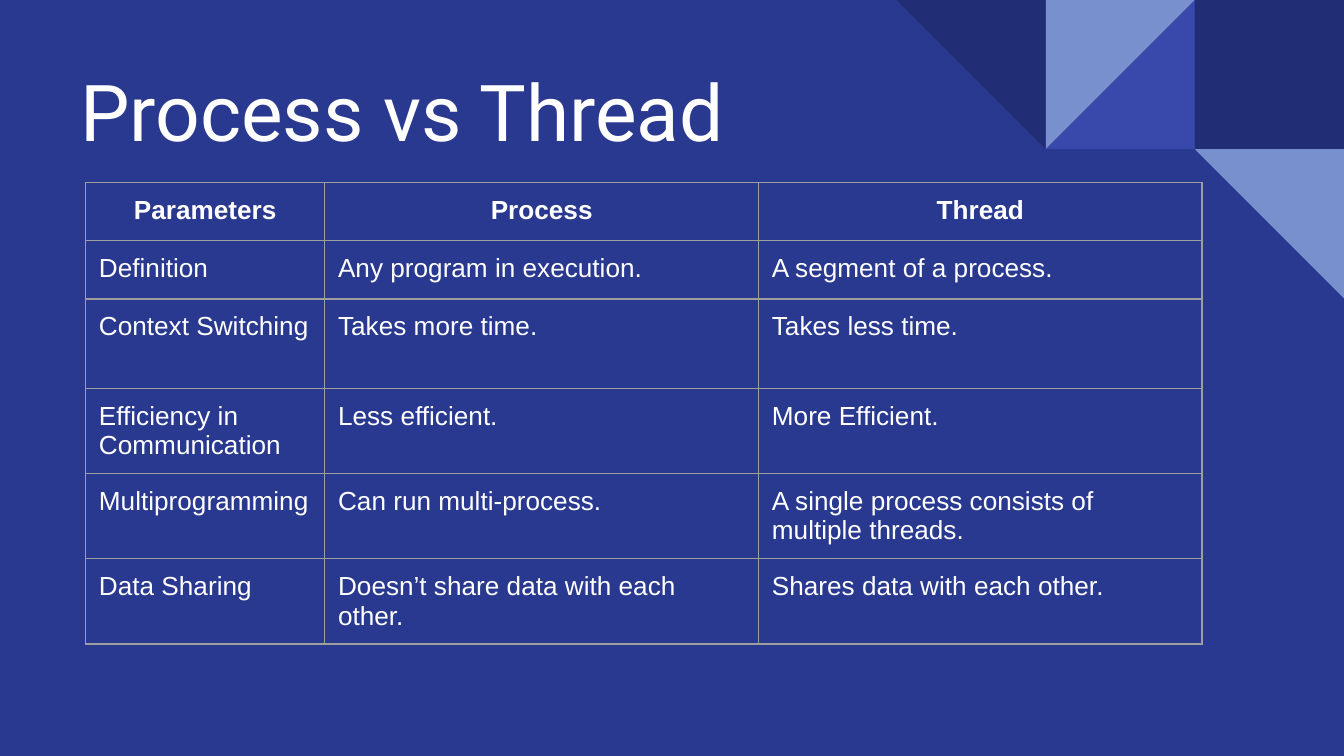
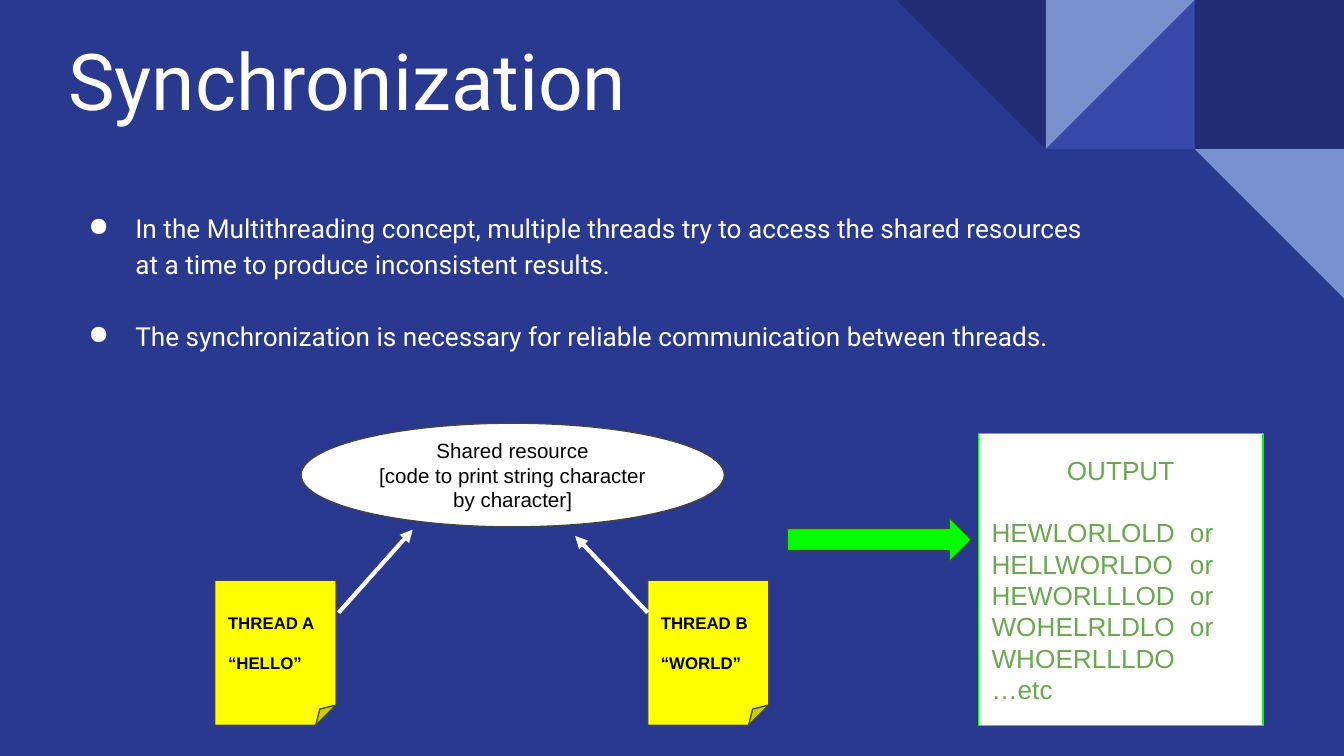
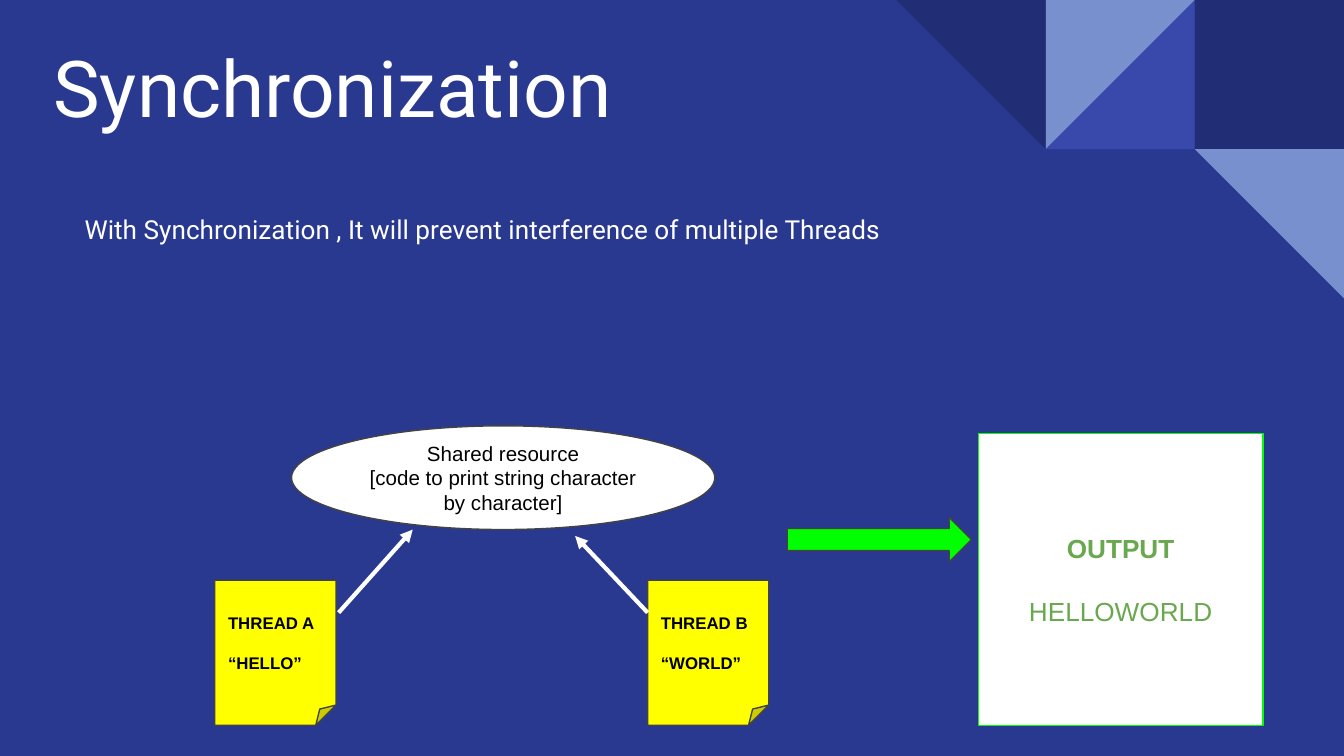
from lxml import etree
from pptx import Presentation
from pptx import util as u
from pptx.dml.color import RGBColor
from pptx.enum import shapes, text
from pptx.oxml import ns

WHITE, BLACK, GREY, LIME, LEAF = "FFFFFF", "000000", "434343", "00FF00", "6AA84F"
BLUE, NAVY, INDIGO, SKY = "2A3990", "212D74", "3949AB", "7890CD"
YELLOW, BORDER = "FFFF00", "9E9E9E"
TILE = 2.82
SLIDE_WIDTH = 25.4
KIND = shapes.MSO_SHAPE
CENTER = {"alignment": text.PP_ALIGN.CENTER}
LEFT = {"alignment": text.PP_ALIGN.LEFT}
MARGINS = {f"margin_{side}": u.Cm(0.25) for side in ("left", "right", "top", "bottom")}
MIDDLE = {"vertical_anchor": text.MSO_ANCHOR.MIDDLE}
TITLE_FONT = {"name": "Roboto", "size": u.Pt(42)}
BODY_FONT = {"name": "Roboto", "size": u.Pt(14)}
CELL_FONT = {"name": "Arial", "size": u.Pt(14)}
HEAD_FONT = {**CELL_FONT, "bold": True}
RESOURCE_FONT = {"name": "Arial", "size": u.Pt(11)}
NOTE_FONT = {"name": "Arial", "size": u.Pt(9), "bold": True}
COMPARISON = [
    ("Parameters", "Process", "Thread"),
    ("Definition", "Any program in execution.", "A segment of a process."),
    ("Context Switching", "Takes more time.", "Takes less time."),
    ("Efficiency in Communication", "Less efficient.", "More Efficient."),
    ("Multiprogramming", "Can run multi-process.",
     "A single process consists of multiple threads."),
    ("Data Sharing", "Doesn’t share data with each other.",
     "Shares data with each other."),
]


def rgb(code):
    """Turn a hex string into a colour."""
    return RGBColor.from_string(code)


def cm(*lengths):
    """Turn centimetre numbers into lengths."""
    return [u.Cm(length) for length in lengths]


def apply(target, values):
    """Set every attribute in a dict of format values."""
    for name, value in values.items():
        setattr(target, name, value)


def add_xml(parent, tag, **attributes):
    """Append a DrawingML child and return it."""
    child = etree.SubElement(parent, ns.qn(f"a:{tag}"))
    for name, value in attributes.items():
        child.set(name, str(value))
    return child


def add_color(parent, code):
    """Append an RGB colour element."""
    add_xml(parent, "srgbClr", val=code)


def write(frame, lines, font, color):
    """Write (text, paragraph format) lines in one font."""
    for index, (words, layout) in enumerate(lines):
        para = frame.add_paragraph() if index else frame.paragraphs[0]
        apply(para, layout)
        span = para.add_run()
        span.text = words
        apply(span.font, font)
        span.font.color.rgb = rgb(color)


def add_box(page, kind, place, fill, line=None, lines=(), font=None, color=BLACK):
    """Add a filled preset shape with optional outline and text."""
    box = page.shapes.add_shape(kind, *cm(*place))
    box.shadow.inherit = False
    box.fill.solid()
    box.fill.fore_color.rgb = rgb(fill)
    if line:
        box.line.color.rgb = rgb(line)
        box.line.width = u.Pt(0.75)
    else:
        box.line.fill.background()
    apply(box.text_frame, {**MARGINS, **MIDDLE, "word_wrap": True})
    write(box.text_frame, lines, font, color)
    return box


def add_body(page, place, lines):
    """Add a body text box that grows with its text."""
    box = page.shapes.add_textbox(*cm(*place))
    apply(box.text_frame, {**MARGINS, "word_wrap": True,
                           "auto_size": text.MSO_AUTO_SIZE.SHAPE_TO_FIT_TEXT})
    write(box.text_frame, lines, BODY_FONT, WHITE)
    return box


def add_bullets(box):
    """Give each paragraph of a box a hanging round bullet."""
    for para in box.text_frame.paragraphs:
        props = para._p.get_or_add_pPr()
        props.set("marL", str(u.Cm(1.27)))
        props.set("indent", str(u.Cm(-0.89)))
        add_color(add_xml(props, "buClr"), WHITE)
        add_xml(props, "buChar", char="●")


def add_pointer(page, start, end):
    """Add a white line with an arrowhead at its end."""
    line = page.shapes.add_connector(shapes.MSO_CONNECTOR.STRAIGHT, *cm(*start, *end))
    line.line.color.rgb = rgb(WHITE)
    line.line.width = u.Pt(2.25)
    add_xml(line.line._get_or_add_ln(), "tailEnd", type="triangle")
    add_xml(line._element.spPr, "effectLst")


def add_table(page, rows, place, widths, heights):
    """Add an unfilled table with thin borders and a bold header row."""
    frame = page.shapes.add_table(len(rows), len(widths),
                                  *cm(*place, sum(widths), sum(heights)))
    table = frame.table
    apply(table, {"first_row": False, "horz_banding": False})
    for column, width in zip(table.columns, widths):
        column.width = u.Cm(width)
    for row, height in zip(table.rows, heights):
        row.height = u.Cm(height)
    for r, row in enumerate(rows):
        font, layout = (CELL_FONT, LEFT) if r else (HEAD_FONT, CENTER)
        for c, words in enumerate(row):
            cell = table.cell(r, c)
            apply(cell, MARGINS)
            write(cell.text_frame, [(words, layout)], font, WHITE)
            props = cell._tc.get_or_add_tcPr()
            for side in "LRTB":
                border = add_xml(props, f"ln{side}", w=u.Pt(0.75))
                add_color(add_xml(border, "solidFill"), BORDER)
            cell.fill.background()


def decorate(layout, page):
    """Give the layout its background and corner tiles, drawn through a page."""
    layout.background.fill.solid()
    layout.background.fill.fore_color.rgb = rgb(BLUE)
    tiles = [
        (KIND.RECTANGLE, 1, 0, 0, NAVY),
        (KIND.RIGHT_TRIANGLE, 2, 0, 270, INDIGO),
        (KIND.RIGHT_TRIANGLE, 2, 0, 90, SKY),
        (KIND.RIGHT_TRIANGLE, 3, 0, 180, NAVY),
        (KIND.RIGHT_TRIANGLE, 1, 1, 180, SKY),
    ]
    for index, (kind, from_right, row, turn, color) in enumerate(tiles):
        place = (SLIDE_WIDTH - from_right * TILE, row * TILE, TILE, TILE)
        tile = add_box(page, kind, place, color)
        tile.rotation = turn
        tile._element.nvSpPr.cNvPr.set("id", str(100 + index))
        layout.shapes._spTree.insert(2 + index, tile._element)


def add_page(deck, layout, title, left, top):
    """Add a page with its title in place."""
    page = deck.slides.add_slide(layout)
    box = page.shapes.title
    apply(box, dict(zip(("left", "top", "width", "height"), cm(left, top, 22.83, 2.34))))
    apply(box.text_frame, {**MARGINS, **MIDDLE, "word_wrap": True,
                           "auto_size": text.MSO_AUTO_SIZE.NONE})
    write(box.text_frame, [(title, LEFT)], TITLE_FONT, WHITE)
    return page


def add_threads(page, left, top):
    """Draw two threads that point to the shared resource at left, top."""
    add_box(page, KIND.OVAL, (left, top, 8, 1.96), WHITE, GREY,
            [("Shared resource", CENTER),
             ("[code to print string character by character]", CENTER)], RESOURCE_FONT)
    for note_left, name, word in ((4.06, "A", "HELLO"), (12.24, "B", "WORLD")):
        add_box(page, KIND.FOLDED_CORNER, (note_left, 10.97, 2.29, 2.74), YELLOW, GREY,
                [(f"THREAD {name}", LEFT),
                 (f"“{word}”", {**LEFT, "space_before": u.Pt(10.5)})], NOTE_FONT)
    add_pointer(page, (6.4, 11.58), (7.8, 10.01))
    add_pointer(page, (12.24, 11.58), (10.87, 10.13))
    add_box(page, KIND.RIGHT_ARROW, (14.88, 9.78, 3.48, 0.84), LIME, GREY)


def add_output(page, results, layout, bold):
    """Add the output panel with its heading and result lines."""
    gap = {**layout, "space_before": u.Pt(16.5)}
    lines = [("OUTPUT", CENTER)]
    lines += [(words, layout if index else gap) for index, words in enumerate(results)]
    panel = add_box(page, KIND.RECTANGLE, (18.49, 8.2, 5.38, 5.51), WHITE, LIME,
                    lines, CELL_FONT, LEAF)
    paras = panel.text_frame.paragraphs
    paras[0].runs[0].font.bold = bold
    for para in paras:
        if "\t" in para.text:
            stops = add_xml(para._p.get_or_add_pPr(), "tabLst")
            add_xml(stops, "tab", pos=u.Cm(3.75), algn="l")


def main():
    """Build the three pages and save the deck."""
    deck = Presentation()
    deck.slide_width, deck.slide_height = cm(SLIDE_WIDTH, 14.29)
    layout = deck.slide_layouts.get_by_name("Title Only")

    page = add_page(deck, layout, "Process vs Thread", 1.27, 0.91)
    decorate(layout, page)
    add_table(page, COMPARISON, (1.62, 3.45), (4.52, 8.2, 8.38),
              (1.1, 1.1, 1.69, 1.1, 1.1, 1.1))

    page = add_page(deck, layout, "Synchronization", 1.04, 0.33)
    body = add_body(page, (1.04, 3.68, 19.84, 3.18), [
        ("In the Multithreading concept, multiple threads try to access the shared "
         "resources at a time to produce inconsistent results.", {"line_spacing": 1.15}),
        ("The synchronization is necessary for reliable communication between threads.",
         {"line_spacing": 1.15, "space_before": u.Pt(19.3)}),
    ])
    add_bullets(body)
    add_threads(page, 5.69, 8)
    mixed = ["HEWLORLOLD", "HELLWORLDO", "HEWORLLLOD", "WOHELRLDLO"]
    add_output(page, [f"{word}\tor" for word in mixed] + ["WHOERLLLDO", "…etc"],
               LEFT, False)

    page = add_page(deck, layout, "Synchronization", 0.76, 0.46)
    add_threads(page, 5.51, 8.05)
    add_output(page, ["HELLOWORLD"], CENTER, True)
    add_body(page, (1.35, 3.78, 16.05, 1.12), [
        ("With Synchronization , It will prevent interference of multiple Threads", LEFT)])

    deck.save("out.pptx")


if __name__ == "__main__":
    main()
